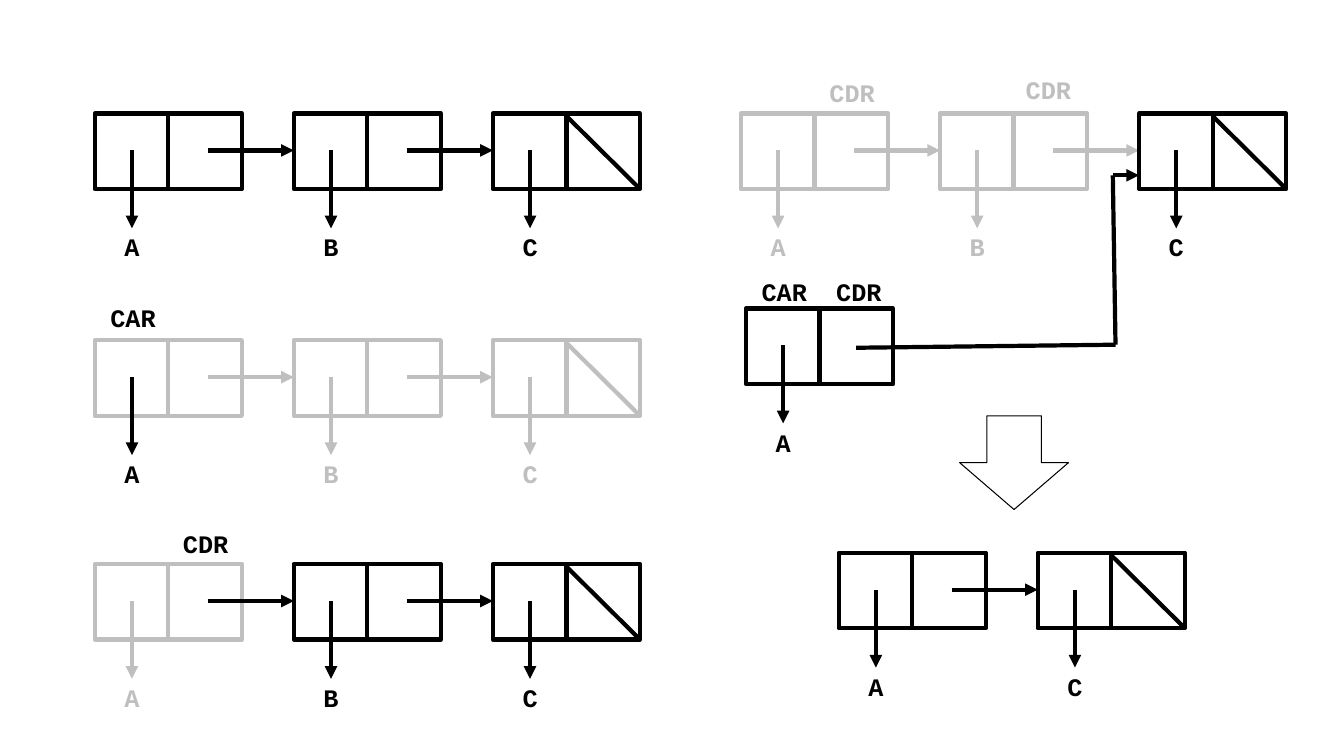
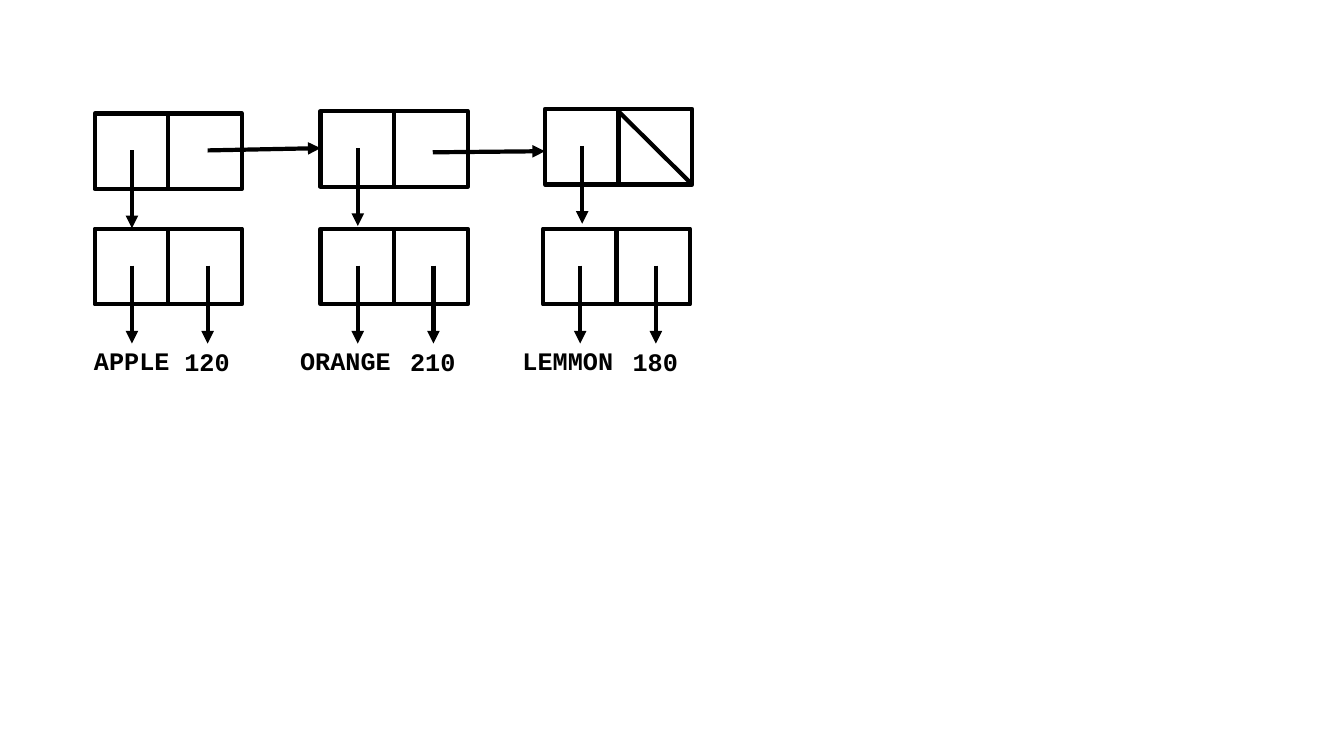
from dataclasses import dataclass
from enum import Enum
from typing import Any

from lxml import etree
from pptx import Presentation
from pptx import util as u
from pptx.dml.color import RGBColor
from pptx.enum import shapes, text
from pptx.oxml.ns import qn

# The grid has 100 columns and 100 rows; every position is counted in them.
SLIDE_WIDTH, SLIDE_HEIGHT = u.Inches(13.33), u.Inches(7.5)
COLUMN, ROW = SLIDE_WIDTH / 100, SLIDE_HEIGHT / 100

COLOURS = {"ink": "000000", "faint": "BFBFBF", "paper": "FFFFFF"}
LABEL_FONT = {"name": "Courier New", "size": u.Pt(18), "bold": True}
LABEL_FRAME = {"word_wrap": True, "auto_size": text.MSO_AUTO_SIZE.SHAPE_TO_FIT_TEXT}
STROKE, THIN_STROKE = 3, 0.75

CELL_WIDTH, CELL_HEIGHT = 10.95, 10
CAR_X, CDR_X = 2.77, 8.4
POINTER_Y, POINTER_END, LABEL_Y = 4.9, 15.2, 15
LABEL_HEIGHT = 5.33
LETTER_WIDTH, CAPTION_WIDTH, WORD_WIDTH = 3.3, 5.55, 10
PITCH = 14.81
LEFT_CHAIN, RIGHT_CHAIN, RESULT_CHAIN = 7.05, 55.13, 62.4
CHAIN_TOPS = (15, 45, 74.6)


class Tail(Enum):
    OPEN = "open"
    NEXT = "next"
    DOWN = "down"
    NIL = "nil"


@dataclass(frozen=True)
class Cell:
    left: float
    top: float
    tail: Tail
    label: str = ""
    frame: str = "ink"
    car: str = "ink"
    cdr: str = "ink"


@dataclass(frozen=True)
class Caption:
    wording: str
    centre: float
    top: float
    colour: str = "ink"
    width: float = CAPTION_WIDTH


@dataclass(frozen=True)
class Line:
    start: tuple[float, float]
    end: tuple[float, float]
    colour: str = "ink"
    arrow: bool = False


def x(columns: float) -> int:
    return round(columns * COLUMN)


def y(rows: float) -> int:
    return round(rows * ROW)


def rgb(colour: str) -> RGBColor:
    return RGBColor.from_string(COLOURS[colour])


def apply(target: Any, values: dict[str, Any]) -> None:
    for name, value in values.items():
        setattr(target, name, value)


def draw_line(slide: Any, line: Line) -> None:
    connector = slide.shapes.add_connector(
        shapes.MSO_CONNECTOR.STRAIGHT,
        x(line.start[0]), y(line.start[1]), x(line.end[0]), y(line.end[1]))
    connector.line.width = u.Pt(STROKE)
    connector.line.color.rgb = rgb(line.colour)
    properties = connector._element.spPr
    if line.arrow:
        etree.SubElement(properties.find(qn("a:ln")), qn("a:tailEnd"), type="triangle")
    etree.SubElement(properties, qn("a:effectLst"))


def draw_shape(slide: Any, kind: Any, left: float, top: float, width: float,
               height: float, colour: str, stroke: float) -> None:
    shape = slide.shapes.add_shape(kind, x(left), y(top), x(width), y(height))
    shape.shadow.inherit = False
    shape.fill.solid()
    shape.fill.fore_color.rgb = rgb("paper")
    shape.line.color.rgb = rgb(colour)
    shape.line.width = u.Pt(stroke)


def draw_caption(slide: Any, caption: Caption) -> None:
    box = slide.shapes.add_textbox(
        x(caption.centre - caption.width / 2), y(caption.top),
        x(caption.width), y(LABEL_HEIGHT))
    apply(box.text_frame, LABEL_FRAME)
    paragraph = box.text_frame.paragraphs[0]
    paragraph.alignment = text.PP_ALIGN.CENTER
    run = paragraph.add_run()
    run.text = caption.wording
    apply(run.font, LABEL_FONT)
    run.font.color.rgb = rgb(caption.colour)


def draw_cell(slide: Any, cell: Cell) -> None:
    """Draw a cons cell with its CAR pointer and whatever its CDR holds."""
    left, top = cell.left, cell.top
    middle, right, bottom = left + CELL_WIDTH / 2, left + CELL_WIDTH, top + CELL_HEIGHT
    car, cdr, pointer = left + CAR_X, left + CDR_X, top + POINTER_Y
    draw_shape(slide, shapes.MSO_SHAPE.RECTANGLE, left, top,
               CELL_WIDTH, CELL_HEIGHT, cell.frame, STROKE)
    lines = [
        Line((middle, top), (middle, bottom), cell.frame),
        Line((car, pointer), (car, top + POINTER_END), cell.car, arrow=True),
    ]
    tails = {
        Tail.NEXT: Line((cdr, pointer), (left + PITCH, pointer), cell.cdr, arrow=True),
        Tail.DOWN: Line((cdr, pointer), (cdr, top + POINTER_END), cell.cdr, arrow=True),
        Tail.NIL: Line((middle, top + 0.35), (right, bottom), cell.cdr),
    }
    if cell.tail in tails:
        lines.append(tails[cell.tail])
    for line in lines:
        draw_line(slide, line)
    if cell.label:
        draw_caption(slide, Caption(cell.label, car, top + LABEL_Y, cell.car, LETTER_WIDTH))


def draw_chain(slide: Any, left: float, top: float, labels: str,
               inks: list[tuple[str, str, str]]) -> None:
    """Draw linked cells; inks gives frame, CAR and CDR colours of each."""
    for index, (label, (frame, car, cdr)) in enumerate(zip(labels, inks)):
        tail = Tail.NIL if index == len(labels) - 1 else Tail.NEXT
        draw_cell(slide, Cell(left + index * PITCH, top, tail, label, frame, car, cdr))


def build_operations(slide: Any) -> None:
    dark, faint = ("ink",) * 3, ("faint",) * 3
    chains = [
        (LEFT_CHAIN, CHAIN_TOPS[0], "ABC", [dark] * 3),
        (LEFT_CHAIN, CHAIN_TOPS[1], "ABC", [("faint", "ink", "faint"), faint, faint]),
        (LEFT_CHAIN, CHAIN_TOPS[2], "ABC", [("faint", "faint", "ink"), dark, dark]),
        (RIGHT_CHAIN, CHAIN_TOPS[0], "ABC", [faint, faint, dark]),
        (RESULT_CHAIN, 73.1, "AC", [dark] * 2),
    ]
    for chain in chains:
        draw_chain(slide, *chain)

    draw_cell(slide, Cell(55.5, 40.8, Tail.OPEN, "A"))
    bypass = [(63.7, 46), (83, 45.6), (82.8, 23.2), (84.75, 23.2)]
    for start, end in zip(bypass, bypass[1:]):
        draw_line(slide, Line(start, end, arrow=end == bypass[-1]))
    draw_shape(slide, shapes.MSO_SHAPE.DOWN_ARROW, 71.4, 55, 8.1, 12.4, "ink", THIN_STROKE)

    for caption in (
        Caption("CAR", 9.9, 39.35),
        Caption("CDR", 15.3, 69.2),
        Caption("CDR", 63.4, 9.6, "faint"),
        Caption("CDR", 78, 9.2, "faint"),
        Caption("CAR", 58.35, 35.9),
        Caption("CDR", 63.9, 35.9),
    ):
        draw_caption(slide, caption)


def build_pairs(slide: Any) -> None:
    """Draw a list whose elements are name and number pairs."""
    for left, top, tail in ((7.05, 15, Tail.OPEN), (23.85, 14.7, Tail.OPEN),
                            (40.55, 14.4, Tail.NIL)):
        draw_cell(slide, Cell(left, top, tail))
    for start, end in (((15.45, 19.9), (23.85, 19.6)), ((32.2, 20.15), (40.55, 20))):
        draw_line(slide, Line(start, end, arrow=True))

    pair_top = 30.25
    for left, name, name_x, number in ((7.05, "APPLE", 2.75, "120"),
                                       (23.85, "ORANGE", 1.85, "210"),
                                       (40.4, "LEMMON", 1.85, "180")):
        draw_cell(slide, Cell(left, pair_top, Tail.DOWN))
        for wording, offset, drop in ((name, name_x, 14.8), (number, 8.35, 14.95)):
            draw_caption(slide, Caption(wording, left + offset, pair_top + drop,
                                        width=WORD_WIDTH))


def main() -> None:
    presentation = Presentation()
    apply(presentation, {"slide_width": SLIDE_WIDTH, "slide_height": SLIDE_HEIGHT})
    for build in (build_operations, build_pairs):
        build(presentation.slides.add_slide(presentation.slide_layouts[6]))
    presentation.save("out.pptx")


if __name__ == "__main__":
    main()
